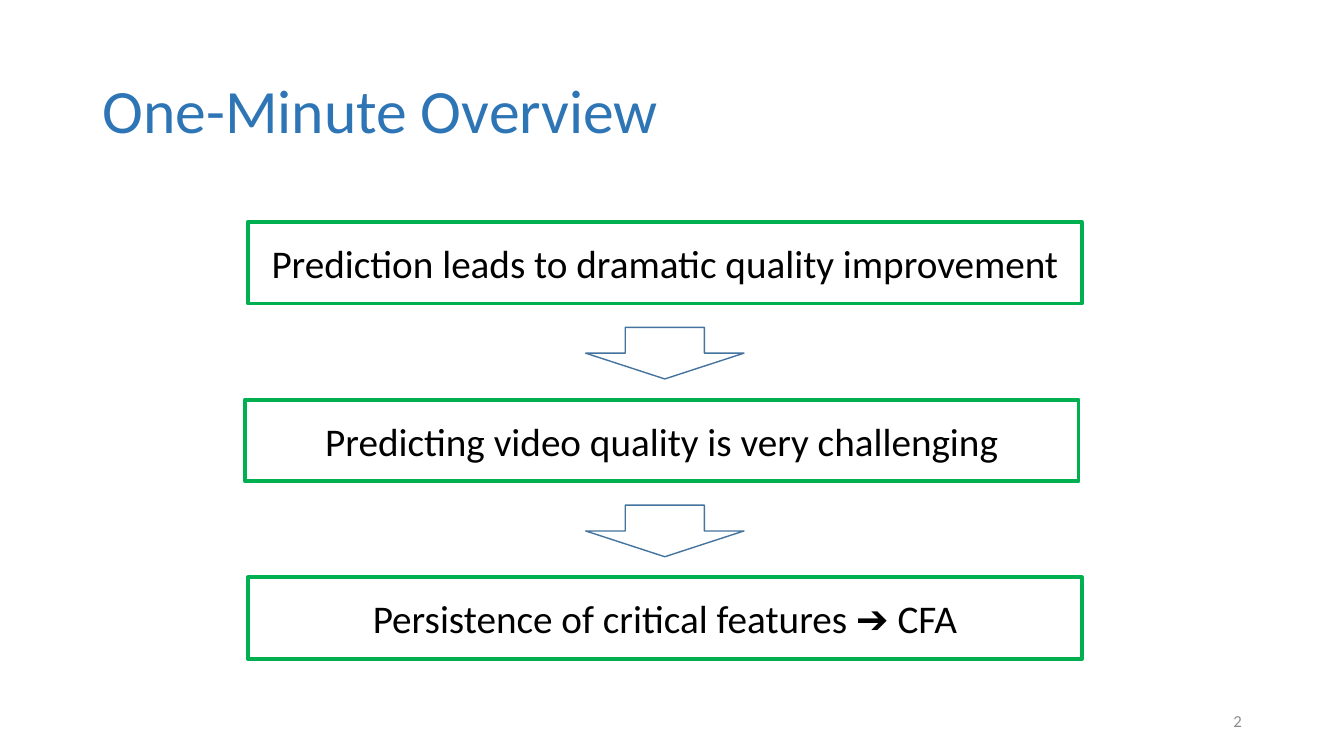
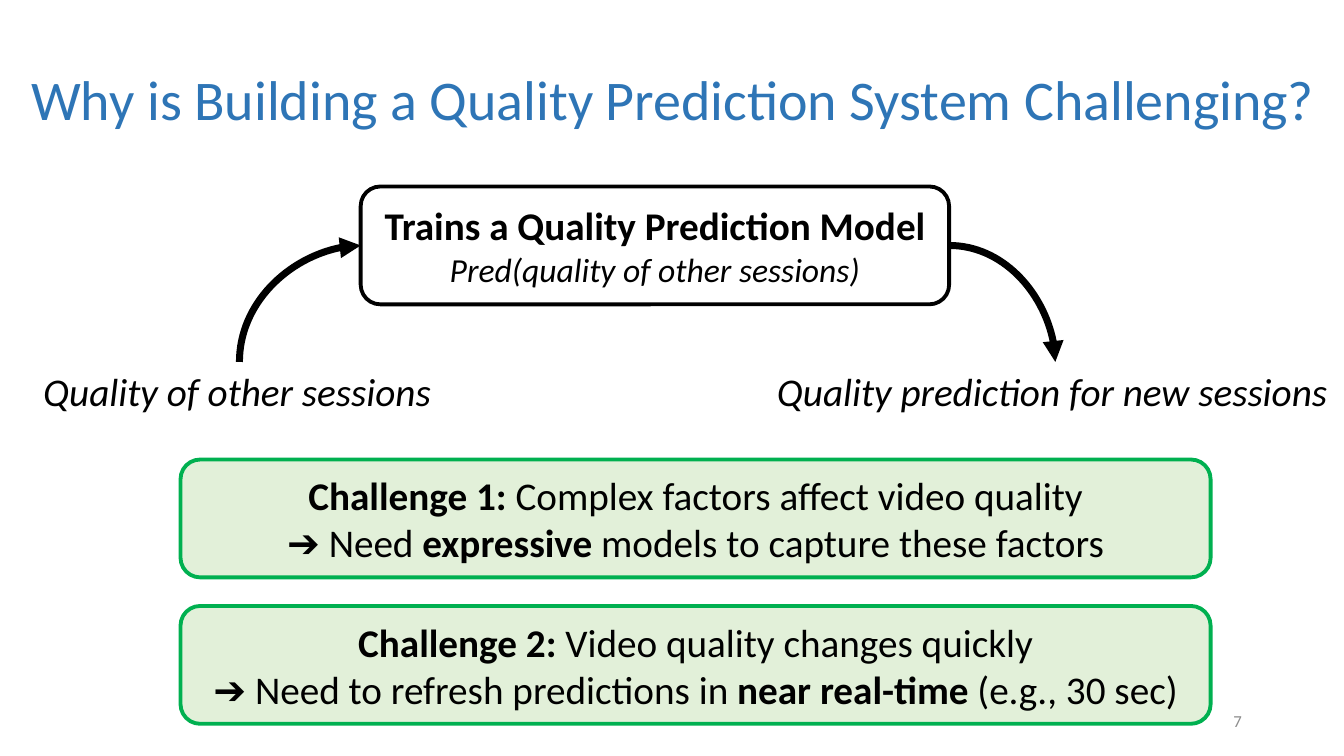
"""Build two slides on predicting video quality."""
from lxml import etree
from pptx import Presentation
from pptx import util as u
from pptx.dml.color import RGBColor
from pptx.enum import shapes, text
from pptx.oxml import ns

HUES = {
    "title": "2E75B6",
    "text": "000000",
    "page": "8C8C8C",
    "paper": "FFFFFF",
    "green": "00B050",
    "pale": "E2F0D9",
    "arrow": "43739E",
}
FONT = "Calibri"
KIND = shapes.MSO_SHAPE
ALIGN = text.PP_ALIGN


def hue(name):
    return RGBColor.from_string(HUES[name])


def write(par, words, size=28, color="text", bold=False, italic=False):
    run = par.add_run()
    run.text = words
    font = run.font
    font.name, font.size = FONT, u.Pt(size)
    font.bold, font.italic = bold, italic
    font.color.rgb = hue(color)


class Deck:
    def __init__(self):
        self.show = Presentation()
        self.show.slide_width = u.Cm(33.87)
        self.show.slide_height = u.Cm(19.05)
        self.slide = None

    def start(self, words, page, area, size):
        self.slide = self.show.slides.add_slide(self.show.slide_layouts[5])
        head = self.slide.shapes.title
        head.left, head.top, head.width, head.height = map(u.Cm, area)
        frame = head.text_frame
        frame.auto_size = text.MSO_AUTO_SIZE.NONE
        frame.vertical_anchor = text.MSO_ANCHOR.MIDDLE
        par = frame.paragraphs[0]
        par.alignment, par.line_spacing = ALIGN.LEFT, 0.9
        write(par, words, size=size, color="title")
        self.label(page, (23.93, 17.65, 7.62, 1.02), align=ALIGN.RIGHT,
                   anchor=text.MSO_ANCHOR.MIDDLE, size=12, color="page")

    def label(self, words, area, align=ALIGN.LEFT,
              anchor=text.MSO_ANCHOR.TOP, **style):
        box = self.slide.shapes.add_textbox(*map(u.Cm, area))
        frame = box.text_frame
        frame.word_wrap = False
        frame.vertical_anchor = anchor
        par = frame.paragraphs[0]
        par.alignment = align
        write(par, words, **style)
        return box

    def shape(self, kind, area, line, width, fill=None):
        item = self.slide.shapes.add_shape(kind, *map(u.Cm, area))
        item.shadow.inherit = False
        if fill:
            item.fill.solid()
            item.fill.fore_color.rgb = hue(fill)
        else:
            item.fill.background()
        item.line.color.rgb = hue(line)
        item.line.width = u.Pt(width)
        return item

    def box(self, kind, area, rows, line="green", fill="paper"):
        item = self.shape(kind, area, line, 2.75, fill)
        frame = item.text_frame
        frame.word_wrap = True
        frame.vertical_anchor = text.MSO_ANCHOR.MIDDLE
        for num, row in enumerate(rows):
            par = frame.add_paragraph() if num else frame.paragraphs[0]
            par.alignment = ALIGN.CENTER
            for words, style in row:
                write(par, words, **style)
        return item

    def curve(self, start, side, end, tip):
        link = self.slide.shapes.add_connector(
            shapes.MSO_CONNECTOR.CURVE, 0, 0, 0, 0)
        link.begin_connect(start, side)
        link.end_connect(end, 0)
        link.line.color.rgb = hue("text")
        link.line.width = u.Pt(5)
        props = link._element.spPr
        props.find(ns.qn("a:prstGeom")).set("prst", "curvedConnector2")
        etree.SubElement(props.find(ns.qn("a:ln")), ns.qn(tip), type="triangle")
        etree.SubElement(props, ns.qn("a:effectLst"))


def overview(deck):
    deck.start("One-Minute Overview", "2", (2.33, 1.02, 29.21, 3.68), 44)
    steps = [
        (6.25, "Prediction leads to dramatic quality improvement"),
        (6.17, "Predicting video quality is very challenging"),
        (6.25, "Persistence of critical features ➔ CFA"),
    ]
    pitch = 4.48
    for num, (left, words) in enumerate(steps):
        deck.box(KIND.RECTANGLE, (left, 5.59 + num * pitch, 21.01, 2.06),
                 [[(words, {})]])
    for num in range(len(steps) - 1):
        deck.shape(KIND.DOWN_ARROW, (14.76, 8.25 + num * pitch, 3.99, 1.3),
                   "arrow", 1)


def reasons(deck):
    deck.start("Why is Building a Quality Prediction System Challenging?", "7",
               (0.53, 0.86, 33.35, 3.43), 40)
    bold, slant = {"bold": True}, {"italic": True}
    tasks = [
        [[("Challenge 1: ", bold), ("Complex factors affect video quality", {})],
         [("➔ Need ", {}), ("expressive ", bold),
          ("models to capture these factors", {})]],
        [[("Challenge 2: ", bold), ("Video quality changes quickly", {})],
         [("➔ Need to refresh predictions in", {}), (" near real-time", bold),
          (" (e.g., 30 sec)", {})]],
    ]
    for num, rows in enumerate(tasks):
        deck.box(KIND.ROUNDED_RECTANGLE, (4.55, 11.58 + num * 3.69, 25.96, 2.97),
                 rows, fill="pale")
    model = deck.box(
        KIND.ROUNDED_RECTANGLE, (9.09, 4.7, 14.83, 2.97),
        [[("Trains a Quality Prediction Model", bold)],
         [("Pred(quality of other sessions)", {"size": 24, "italic": True})]],
        line="text")
    known = deck.label("Quality of other sessions",
                       (0.84, 9.12, 10.39, 1.45), **slant)
    fresh = deck.label("Quality prediction for new sessions",
                       (19.33, 9.12, 14.53, 1.45), **slant)
    deck.curve(model, 1, known, "a:headEnd")
    deck.curve(model, 3, fresh, "a:tailEnd")


def main():
    deck = Deck()
    overview(deck)
    reasons(deck)
    deck.show.save("out.pptx")


if __name__ == "__main__":
    main()
